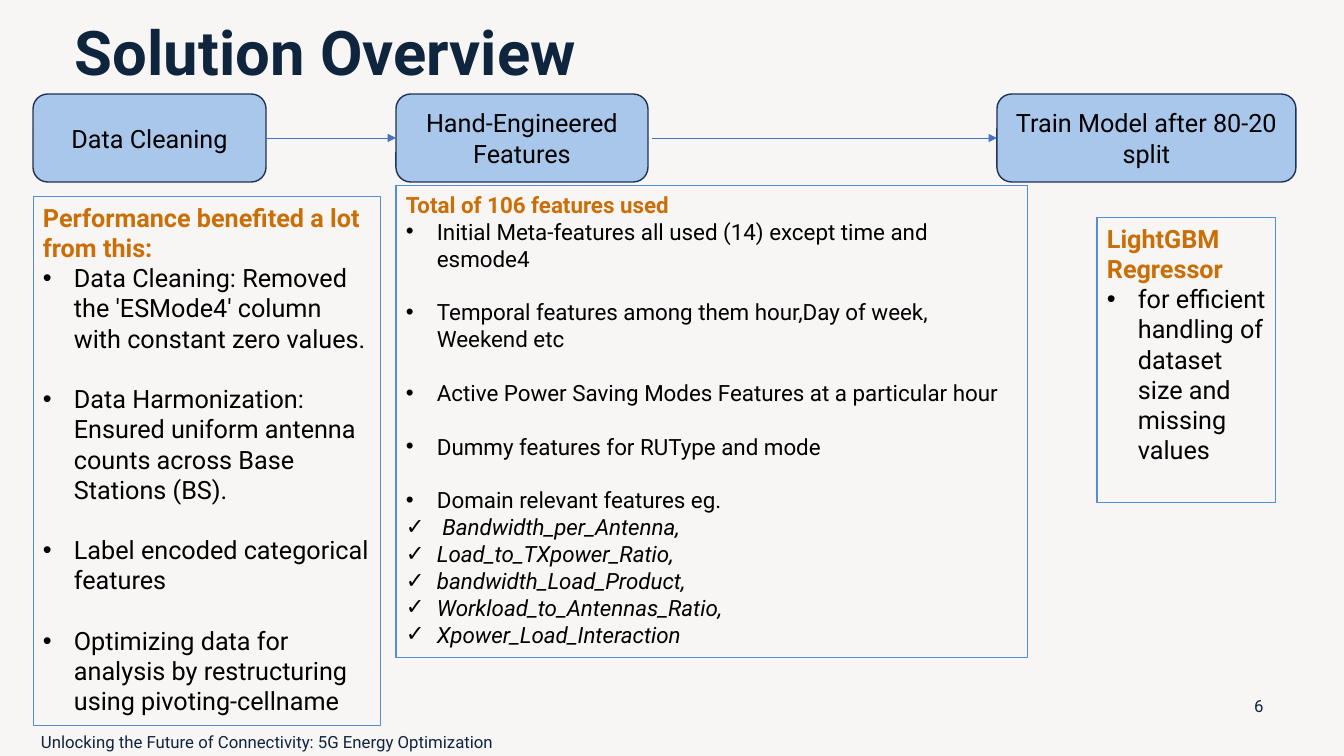
from dataclasses import dataclass

from lxml import etree
from pptx import Presentation
from pptx import util as u
from pptx.dml.color import RGBColor
from pptx.enum import shapes, text
from pptx.oxml import ns

SCALE = 914400 / 100.8
FONT = "Roboto"
INDENT = 31
BACKGROUND = RGBColor(0xF8, 0xF6, 0xF5)
NAVY = RGBColor(0x0F, 0x25, 0x3E)
STEP_FILL = RGBColor(0xA8, 0xC7, 0xEA)
STEP_LINE = RGBColor(0x1E, 0x32, 0x56)
ARROW = RGBColor(0x44, 0x72, 0xC4)
PANEL_LINE = RGBColor(0x51, 0x8F, 0xD5)
ORANGE = RGBColor(0xCA, 0x6F, 0x07)
BLACK = RGBColor(0, 0, 0)
LEFT, CENTER = text.PP_ALIGN.LEFT, text.PP_ALIGN.CENTER


@dataclass(frozen=True)
class Box:
    left: int
    top: int
    width: int
    height: int


@dataclass(frozen=True)
class Label:
    box: Box
    words: str
    size: int = 12
    bold: bool = False
    align: text.PP_ALIGN = LEFT
    spacing: float = 1.0


@dataclass(frozen=True)
class Step:
    left: int
    width: int
    words: str


@dataclass(frozen=True)
class Arrow:
    start: int
    end: int


@dataclass(frozen=True)
class Panel:
    box: Box
    size: int
    heading: str
    bullets: tuple[str, ...]
    checks: tuple[str, ...] = ()


STEP_TOP, STEP_HEIGHT, ARROW_Y = 94, 88, 138

LABELS = (
    Label(Box(65, -6, 1159, 123), "Solution Overview", 44, True, spacing=0.9),
    Label(Box(31, 717, 485, 50), "Unlocking the Future of Connectivity: 5G Energy Optimization"),
    Label(Box(1234, 686, 50, 40), "6", align=CENTER),
)
STEPS = (
    Step(33, 233, "Data Cleaning"),
    Step(396, 252, "Hand-Engineered Features"),
    Step(997, 299, "Train Model after 80-20 split"),
)
ARROWS = (Arrow(266, 396), Arrow(652, 997))
PANELS = (
    Panel(Box(33, 197, 348, 529), 18, "Performance benefited a lot from this:", (
        "Data Cleaning: Removed the 'ESMode4' column with constant zero values.",
        "Data Harmonization: Ensured uniform antenna counts across Base Stations (BS).",
        "Label encoded categorical features",
        "Optimizing data for analysis by restructuring using pivoting-cellname",
    )),
    Panel(Box(396, 186, 632, 472), 16, "Total of 106 features used", (
        "Initial Meta-features all used (14) except time and esmode4",
        "Temporal features among them hour,Day of week, Weekend etc",
        "Active Power Saving Modes Features at a particular hour",
        "Dummy features for RUType and mode",
        "Domain relevant features eg.",
    ), (
        " Bandwidth_per_Antenna,",
        "Load_to_TXpower_Ratio,",
        "bandwidth_Load_Product,",
        "Workload_to_Antennas_Ratio,",
        "Xpower_Load_Interaction",
    )),
    Panel(Box(1097, 218, 179, 285), 18, "LightGBM Regressor", (
        "for efficient handling of dataset size and missing values",
    )),
)


def emu(pixels: int) -> u.Emu:
    return u.Emu(round(pixels * SCALE))


def place(box: Box) -> tuple[u.Emu, ...]:
    return emu(box.left), emu(box.top), emu(box.width), emu(box.height)


def add_run(paragraph, words: str, size: int, color: RGBColor,
            bold: bool = False, italic: bool = False) -> None:
    run = paragraph.add_run()
    run.text = words
    font = run.font
    font.name, font.size, font.bold, font.italic = FONT, u.Pt(size), bold, italic
    font.color.rgb = color


def set_bullet(paragraph, mark: str) -> None:
    properties = paragraph._p.get_or_add_pPr()
    properties.set("marL", str(emu(INDENT)))
    properties.set("indent", str(-emu(INDENT)))
    etree.SubElement(properties, ns.qn("a:buFont")).set("typeface", "Arial")
    etree.SubElement(properties, ns.qn("a:buChar")).set("char", mark)


def add_label(slide, label: Label) -> None:
    frame = slide.shapes.add_textbox(*place(label.box)).text_frame
    frame.word_wrap = True
    frame.vertical_anchor = text.MSO_ANCHOR.MIDDLE
    paragraph = frame.paragraphs[0]
    paragraph.alignment = label.align
    paragraph.line_spacing = label.spacing
    add_run(paragraph, label.words, label.size, NAVY, label.bold)


def add_outlined(slide, kind: shapes.MSO_SHAPE, box: Box, line: RGBColor, width: float):
    shape = slide.shapes.add_shape(kind, *place(box))
    shape.shadow.inherit = False
    shape.line.color.rgb = line
    shape.line.width = u.Pt(width)
    shape.text_frame.word_wrap = True
    return shape


def add_step(slide, step: Step) -> None:
    box = Box(step.left, STEP_TOP, step.width, STEP_HEIGHT)
    shape = add_outlined(slide, shapes.MSO_SHAPE.ROUNDED_RECTANGLE, box, STEP_LINE, 1)
    shape.fill.solid()
    shape.fill.fore_color.rgb = STEP_FILL
    shape.text_frame.vertical_anchor = text.MSO_ANCHOR.MIDDLE
    paragraph = shape.text_frame.paragraphs[0]
    paragraph.alignment = CENTER
    add_run(paragraph, step.words, 18, BLACK)


def add_arrow(slide, arrow: Arrow) -> None:
    connector = slide.shapes.add_connector(
        shapes.MSO_CONNECTOR.STRAIGHT,
        emu(arrow.start), emu(ARROW_Y), emu(arrow.end), emu(ARROW_Y))
    connector.line.color.rgb = ARROW
    connector.line.width = u.Pt(0.5)
    line = connector.line._get_or_add_ln()
    etree.SubElement(line, ns.qn("a:tailEnd")).set("type", "triangle")
    etree.SubElement(connector._element.spPr, ns.qn("a:effectLst"))


def add_panel(slide, panel: Panel) -> None:
    shape = add_outlined(slide, shapes.MSO_SHAPE.RECTANGLE, panel.box, PANEL_LINE, 0.75)
    shape.fill.background()
    frame = shape.text_frame
    frame.vertical_anchor = text.MSO_ANCHOR.TOP
    heading = frame.paragraphs[0]
    heading.alignment = LEFT
    add_run(heading, panel.heading, panel.size, ORANGE, bold=True)
    for index, words in enumerate(panel.bullets):
        paragraph = frame.add_paragraph()
        paragraph.alignment = LEFT
        paragraph.space_before = u.Pt(panel.size * 1.2 if index else 0)
        set_bullet(paragraph, "•")
        add_run(paragraph, words, panel.size, BLACK)
    for words in panel.checks:
        paragraph = frame.add_paragraph()
        paragraph.alignment = LEFT
        set_bullet(paragraph, "✓")
        add_run(paragraph, words, panel.size, BLACK, italic=True)


def main() -> None:
    presentation = Presentation()
    presentation.slide_width, presentation.slide_height = emu(1344), emu(756)
    slide = presentation.slides.add_slide(presentation.slide_layouts[6])
    slide.background.fill.solid()
    slide.background.fill.fore_color.rgb = BACKGROUND
    for label in LABELS:
        add_label(slide, label)
    for step in STEPS:
        add_step(slide, step)
    for arrow in ARROWS:
        add_arrow(slide, arrow)
    for panel in PANELS:
        add_panel(slide, panel)
    presentation.save("out.pptx")


main()
